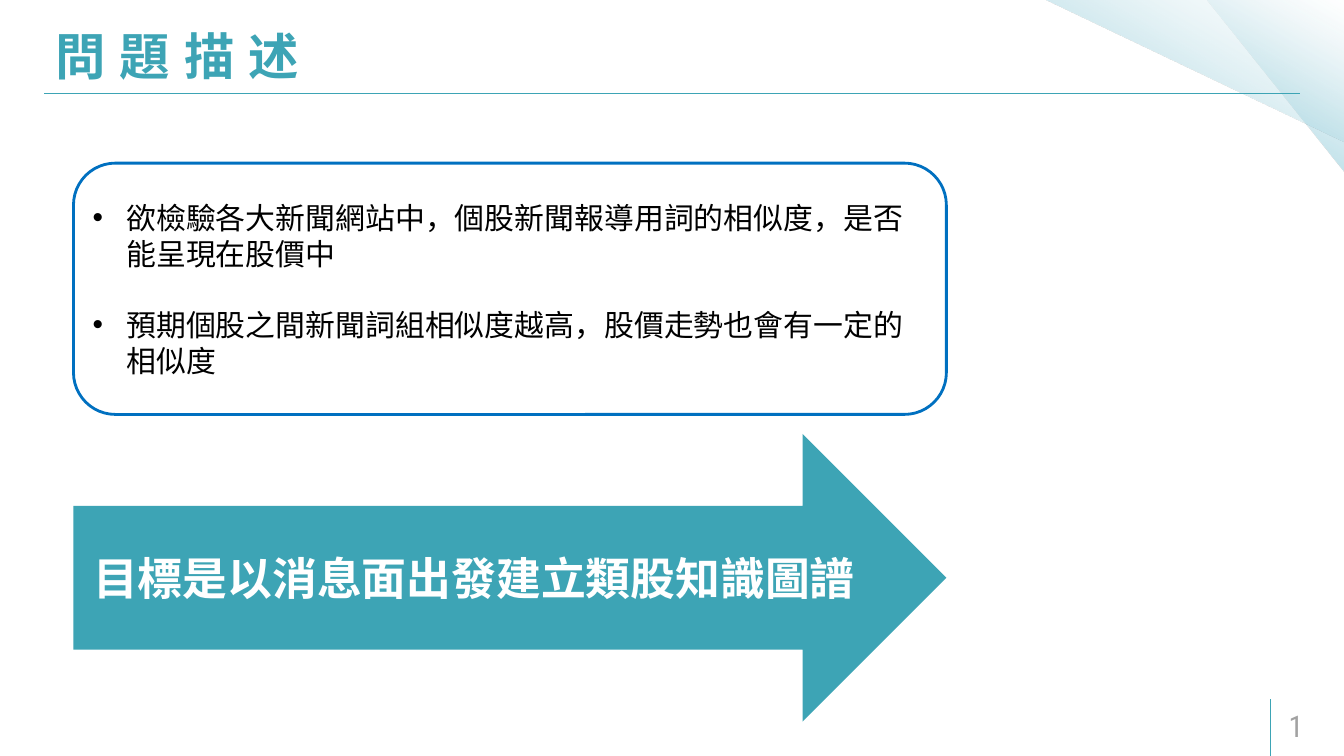
from dataclasses import dataclass

from lxml import etree
from pptx import Presentation
from pptx.dml.color import RGBColor
from pptx.enum.shapes import MSO_CONNECTOR, MSO_SHAPE
from pptx.enum.text import MSO_ANCHOR, PP_ALIGN
from pptx.oxml.ns import qn
from pptx.util import Pt

EMU_PER_PX = 9525
TRIANGLE = MSO_SHAPE.RIGHT_TRIANGLE
ROUNDED = MSO_SHAPE.ROUNDED_RECTANGLE
ARROW = MSO_SHAPE.RIGHT_ARROW
STRAIGHT = MSO_CONNECTOR.STRAIGHT
MIDDLE = MSO_ANCHOR.MIDDLE
LEFT, CENTER = PP_ALIGN.LEFT, PP_ALIGN.CENTER

CJK_FONT = "Noto Sans CJK SC"
NUMBER_FONT = "Roboto Condensed"
TEAL = "3DA4B5"
GRADIENT = ((0, "97D1E0", 100), (50, "AAD7E2", 44), (100, "E0F0F4", 0))
GRADIENT_ANGLE = 120


@dataclass(frozen=True)
class Box:
    left: int
    top: int
    width: int
    height: int

    def emu(self) -> tuple:
        return tuple(map(px, (self.left, self.top, self.width, self.height)))


@dataclass(frozen=True)
class TextStyle:
    size: int
    color: str
    font: str = CJK_FONT
    bold: bool = False
    spacing: int = 0


CORNER_TRIANGLES = (Box(1724, 0, 196, 247), Box(1492, 0, 430, 204))
RULES = ((63, 133, 1857, 133), (1815, 1080, 1815, 998))
PROBLEM_POINTS = (
    "欲檢驗各大新聞網站中，個股新聞報導用詞的相似度，是否能呈現在股價中",
    "預期個股之間新聞詞組相似度越高，股價走勢也會有一定的相似度",
)
TITLE_STYLE = TextStyle(54, TEAL, bold=True, spacing=15)
POINT_STYLE = TextStyle(32, "000000")
GOAL_STYLE = TextStyle(48, "FFFFFF", bold=True)
NUMBER_STYLE = TextStyle(32, "A2A2A2", font=NUMBER_FONT)


def px(length: int) -> int:
    return length * EMU_PER_PX


def rgb(color: str) -> RGBColor:
    return RGBColor.from_string(color)


def child(parent, tag: str, **attributes):
    return etree.SubElement(parent, qn(tag), {k: str(v) for k, v in attributes.items()})


def add_run(paragraph, text: str, style: TextStyle) -> None:
    run = paragraph.add_run()
    run.text = text
    run.font.size = Pt(style.size)
    run.font.bold = style.bold
    run.font.color.rgb = rgb(style.color)
    run.font.name = style.font
    properties = run.font._element
    child(properties, "a:ea", typeface=style.font)
    if style.spacing:
        properties.set("spc", str(style.spacing * 100))


def set_frame(shape, margin_x: int = 10, margin_y: int = 5):
    frame = shape.text_frame
    frame.word_wrap = True
    frame.vertical_anchor = MIDDLE
    frame.margin_left = frame.margin_right = px(margin_x)
    frame.margin_top = frame.margin_bottom = px(margin_y)
    return frame


def add_plain_shape(slide, kind, box: Box):
    """Add a preset shape without shadow, fill or outline."""
    shape = slide.shapes.add_shape(kind, *box.emu())
    shape.shadow.inherit = False
    shape.fill.background()
    shape.line.fill.background()
    return shape


def add_corner_triangle(slide, box: Box) -> None:
    triangle = add_plain_shape(slide, TRIANGLE, box)
    triangle.rotation = 180
    triangle.fill.gradient()
    gradient = triangle._element.spPr.find(qn("a:gradFill"))
    for old in list(gradient):
        gradient.remove(old)
    stops = child(gradient, "a:gsLst")
    for position, color, opacity in GRADIENT:
        stop = child(stops, "a:gs", pos=position * 1000)
        tint = child(stop, "a:srgbClr", val=color)
        child(tint, "a:alpha", val=opacity * 1000)
    child(gradient, "a:lin", ang=GRADIENT_ANGLE * 60000, scaled=0)


def add_rule(slide, ends: tuple) -> None:
    rule = slide.shapes.add_connector(STRAIGHT, *map(px, ends))
    rule.line.color.rgb = rgb(TEAL)
    rule.line.width = Pt(1)
    child(rule._element.spPr, "a:effectLst")


def add_title(slide, text: str) -> None:
    title = slide.shapes.title
    title.left, title.top, title.width, title.height = Box(62, 20, 1758, 118).emu()
    paragraph = set_frame(title, 17, 9).paragraphs[0]
    paragraph.alignment = LEFT
    add_run(paragraph, text, TITLE_STYLE)


def add_page_number(slide, text: str) -> None:
    number = slide.shapes.add_textbox(*Box(1824, 1007, 95, 58).emu())
    add_run(set_frame(number, 17, 9).paragraphs[0], text, NUMBER_STYLE)


def add_problem_box(slide, points: tuple) -> None:
    box = add_plain_shape(slide, ROUNDED, Box(105, 233, 1247, 359))
    box.line.color.rgb = rgb("0070C0")
    box.line.width = Pt(3)
    frame = set_frame(box)
    for index, point in enumerate(points):
        paragraph = frame.add_paragraph() if index else frame.paragraphs[0]
        paragraph.alignment = LEFT
        if index:
            paragraph.space_before = Pt(38)
        properties = paragraph._p.get_or_add_pPr()
        properties.set("marL", str(px(48)))
        properties.set("indent", str(px(-48)))
        child(properties, "a:buFont", typeface="Arial")
        child(properties, "a:buChar", char="•")
        add_run(paragraph, point, POINT_STYLE)


def add_goal_arrow(slide, text: str) -> None:
    arrow = add_plain_shape(slide, ARROW, Box(105, 620, 1247, 411))
    arrow.fill.solid()
    arrow.fill.fore_color.rgb = rgb(TEAL)
    paragraph = set_frame(arrow).paragraphs[0]
    paragraph.alignment = CENTER
    add_run(paragraph, text, GOAL_STYLE)


def main() -> None:
    deck = Presentation()
    deck.slide_width, deck.slide_height = px(1920), px(1080)
    slide = deck.slides.add_slide(deck.slide_layouts.get_by_name("Title Only"))
    for box in CORNER_TRIANGLES:
        add_corner_triangle(slide, box)
    for ends in RULES:
        add_rule(slide, ends)
    add_title(slide, "問題描述")
    add_page_number(slide, "1")
    add_problem_box(slide, PROBLEM_POINTS)
    add_goal_arrow(slide, "目標是以消息面出發建立類股知識圖譜")
    deck.save("out.pptx")


if __name__ == "__main__":
    main()
